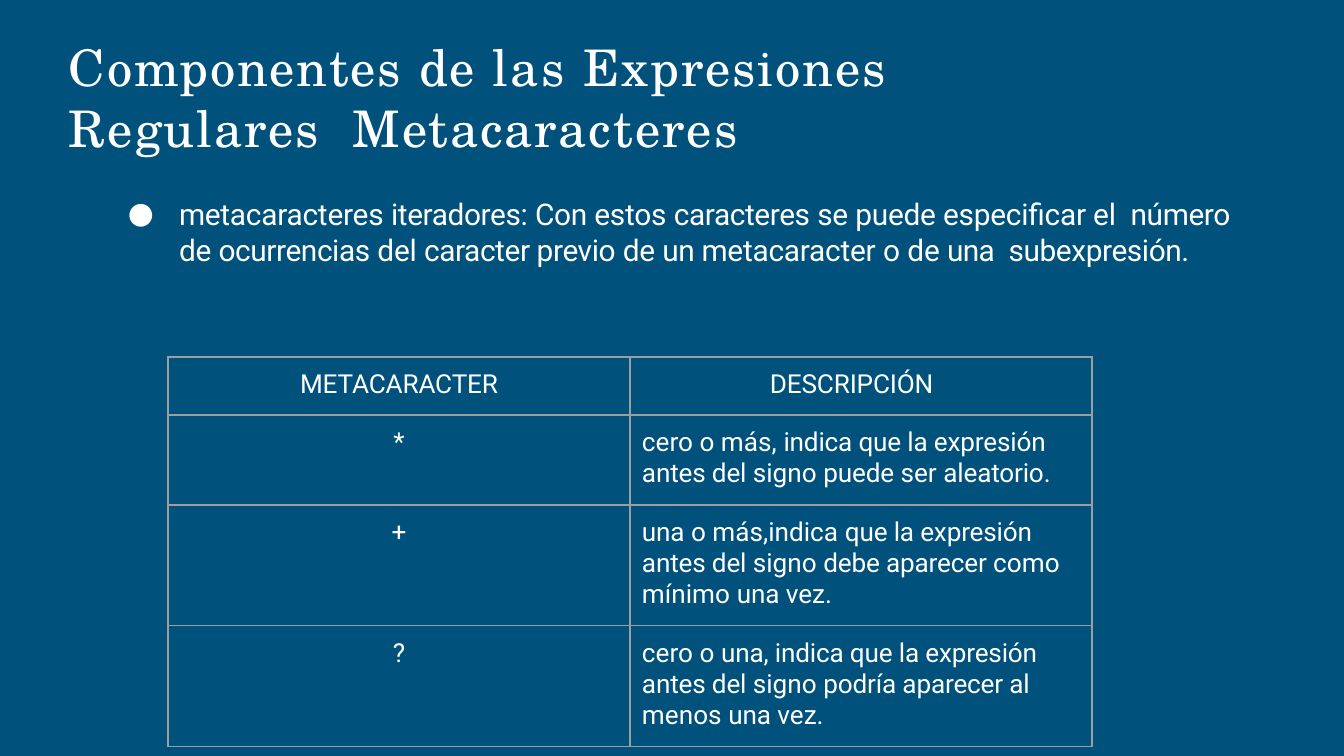
import pptx
import pptx.util
import pptx.dml.color
import pptx.enum.text
import pptx.oxml.ns
import lxml.etree

PX = 914400 / 134.4
HUES = {"back": "00517B", "text": "FFFFFF", "line": "9E9E9E"}
ALIGN = pptx.enum.text.PP_ALIGN

TITLE = [("Componentes ", 1), ("de ", 0.8), ("las ", 1.4),
         ("Expresiones Regulares  ", 1), ("Metacaracteres", 1.1)]
BODY = [("metacaracteres ", -0.1), ("iteradores: ", -0.2), ("Con estos ", -0.1),
        ("caracteres ", -0.2), ("se puede especiﬁcar el  ", -0.1), ("número ", -0.2),
        ("de ", -0.1), ("ocurrencias ", -0.2), ("del ", -0.1),
        ("caracter previo ", -0.2), ("de ", -0.1), ("un ", -0.3),
        ("metacaracter ", -0.1), ("o ", 0), ("de ", -0.1), ("una  ", -0.3),
        ("subexpresión.", -0.2)]
HEAD = ([("METACARACTER", -0.1)], [("DESCRIPCIÓN", -0.1)])
ROWS = [
    HEAD,
    ([("*", 0)],
     [("cero o más, ", 0), ("indica que la expresión  antes del ", -0.1), ("signo ", 0),
      ("puede ", -0.1), ("ser ", 0), ("aleatorio.", -0.1)]),
    ([("+", 0)],
     [("una ", -0.1), ("o más,indica ", 0), ("que la expresión  antes del ", -0.1),
      ("signo ", 0), ("debe aparecer ", -0.1), ("como  mínimo ", 0), ("una ", -0.1),
      ("vez.", 0)]),
    ([("?", 0)],
     [("cero o ", 0), ("una, indica que la expresión  antes del ", -0.1), ("signo ", 0),
      ("podría aparecer al ", -0.1), (" menos ", 0), ("una ", -0.1), ("vez.", 0)]),
]


def emu(px):
    return pptx.util.Emu(round(px * PX))


def tint(name):
    return pptx.dml.color.RGBColor.from_string(HUES[name])


def paint(fill, name):
    fill.solid()
    fill.fore_color.rgb = tint(name)


def node(base, tag, **attrs):
    item = lxml.etree.SubElement(base, pptx.oxml.ns.qn(tag))
    for key, value in attrs.items():
        item.set(key, str(value))
    return item


def write(frame, runs, size=14, font="Roboto", align=ALIGN.LEFT, left=0, hang=0,
          before=0, lead=None, mark=None):
    para = frame.paragraphs[0]
    para.alignment = align
    para.space_before = pptx.util.Pt(before)
    if lead:
        para.line_spacing = lead
    props = para._p.get_or_add_pPr()
    props.set("marL", str(emu(left)))
    props.set("indent", str(emu(hang)))
    if mark:
        node(props, "a:buFont", typeface=font)
        node(props, "a:buChar", char=mark)
    for words, space in runs:
        run = para.add_run()
        run.text = words
        run.font.size = pptx.util.Pt(size)
        run.font.name = font
        run.font.color.rgb = tint("text")
        run._r.get_or_add_rPr().set("spc", str(round(space * 100)))


def block(slide, box, runs, **form):
    frame = slide.shapes.add_textbox(*map(emu, box)).text_frame
    frame.word_wrap = True
    frame.auto_size = pptx.enum.text.MSO_AUTO_SIZE.SHAPE_TO_FIT_TEXT
    frame.margin_left = frame.margin_right = frame.margin_bottom = 0
    frame.margin_top = emu(1)
    write(frame, runs, **form)


def border(cell):
    props = cell._tc.get_or_add_tcPr()
    for spot, side in enumerate("LRTB"):
        line = node(props, "a:ln" + side, w=pptx.util.Pt(0.75))
        node(node(line, "a:solidFill"), "a:srgbClr", val=HUES["line"])
        props.insert(spot, line)


def grid(slide, box, highs):
    table = slide.shapes.add_table(len(ROWS), 2, *map(emu, box)).table
    table.first_row = table.horz_banding = False
    for col in table.columns:
        col.width = emu(box[2] // 2)
    for i, (row, high) in enumerate(zip(ROWS, highs)):
        table.rows[i].height = emu(high)
        for j, runs in enumerate(row):
            cell = table.cell(i, j)
            cell.margin_left = cell.margin_right = cell.margin_bottom = 0
            cell.margin_top = emu(12)
            paint(cell.fill, "back")
            border(cell)
            if j == 0:
                form = {"align": ALIGN.CENTER}
            else:
                form = {"left": 140 if i == 0 else 12}
            write(cell.text_frame, runs, before=6.2, **form)


def main():
    deck = pptx.Presentation()
    deck.slide_width, deck.slide_height = emu(1344), emu(756)
    slide = deck.slides.add_slide(deck.slide_layouts[6])
    paint(slide.background.fill, "back")
    block(slide, (67, 34, 1042, 126), TITLE, size=27, font="TeX Gyre Schola",
          left=2, before=0.9, lead=1.01)
    block(slide, (125, 195, 1105, 112), BODY, size=16, align=ALIGN.JUSTIFY,
          left=54, hang=-51, before=1, mark="●")
    grid(slide, (168, 357, 924, 390), (58, 90, 121, 121))
    deck.save("out.pptx")


if __name__ == "__main__":
    main()
